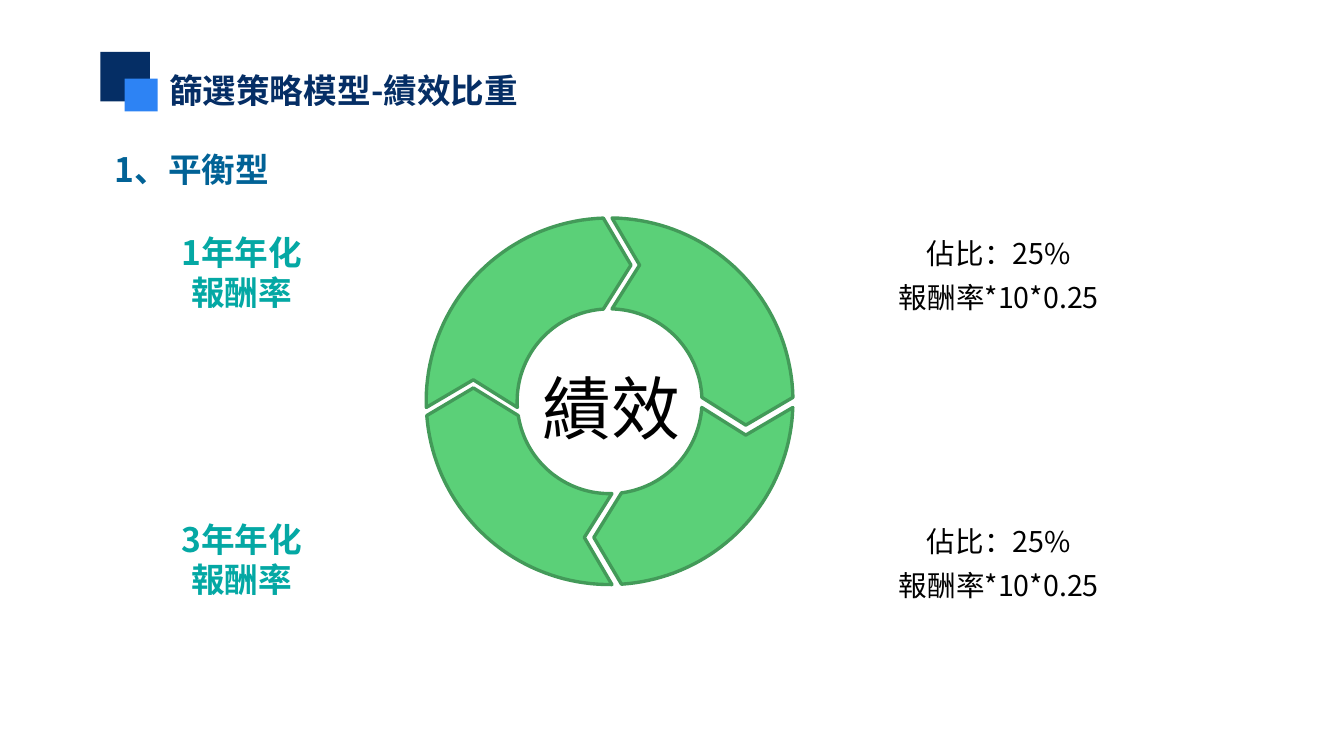
from math import asin, cos, pi, sin

from lxml import etree
from pptx import Presentation
from pptx.dml.color import RGBColor
from pptx.enum.shapes import MSO_SHAPE
from pptx.enum.text import MSO_ANCHOR, PP_ALIGN
from pptx.oxml.ns import qn
from pptx.util import Cm, Pt

FONT = "Noto Sans CJK SC"
NAVY = RGBColor(0x05, 0x2E, 0x65)
BLUE = RGBColor(0x2D, 0x83, 0xF4)
OCEAN = RGBColor(0x01, 0x62, 0x96)
TEAL = RGBColor(0x04, 0xA8, 0xA4)
GREEN = RGBColor(0x5B, 0xD0, 0x78)
DARK_GREEN = RGBColor(0x43, 0x9A, 0x59)
BLACK = RGBColor(0, 0, 0)
LEFT, CENTER = PP_ALIGN.LEFT, PP_ALIGN.CENTER
TOP, MIDDLE = MSO_ANCHOR.TOP, MSO_ANCHOR.MIDDLE
RECTANGLE = MSO_SHAPE.RECTANGLE

# Content
TITLE = "篩選策略模型-績效比重"
MODEL = "1、平衡型"
HUB = "績效"
# metric lines, weight lines, top of metric, top of weight (cm)
METRICS = [
    (["1年年化", "報酬率"], ["佔比：25%", "報酬率*10*0.25"], 4.75, 4.47),
    (["3年年化", "報酬率"], ["佔比：25%", "報酬率*10*0.25"], 10.77, 10.52),
]
# left, top, side (cm), colour
TITLE_SQUARES = [(2.11, 1.09, 1.04, NAVY), (2.62, 1.65, 0.69, BLUE)]

# Ring geometry (cm): four arrows, clockwise from the top
CENTER_X, CENTER_Y = 12.8, 8.43
OUTER, TIP, INNER = 3.85, 2.86, 1.94
TIP_DEPTH = 0.58
# sideways shift of each arrow's tail and head from its quarter line
ARROW_SHIFTS = [(0.05, -0.08), (0.13, -0.25), (-0.05, -0.30), (-0.13, -0.13)]
ARC_STEPS = 40

prs = Presentation()
prs.slide_width, prs.slide_height = Cm(28.22), Cm(15.88)
slide = prs.slides.add_slide(prs.slide_layouts[6])


def add_text(box, lines, size, color, bold=False, align=LEFT, anchor=TOP, spacing=None):
    frame = slide.shapes.add_textbox(*map(Cm, box)).text_frame
    frame.word_wrap = True
    frame.vertical_anchor = anchor
    frame.text = "\n".join(lines)
    for paragraph in frame.paragraphs:
        paragraph.alignment = align
        paragraph.line_spacing = spacing
        font = paragraph.font
        font.size, font.bold, font.name = Pt(size), bold, FONT
        font.color.rgb = color
        # East Asian typeface
        defaults = paragraph._p.pPr.find(qn("a:defRPr"))
        etree.SubElement(defaults, qn("a:ea")).set("typeface", FONT)
    return frame


def ring_point(radius, angle):
    """Point at an angle measured clockwise from the top."""
    return (Cm(CENTER_X + radius * sin(angle)), Cm(CENTER_Y - radius * cos(angle)))


def arc(radius, start, end):
    return [ring_point(radius, start + (end - start) * i / ARC_STEPS)
            for i in range(ARC_STEPS + 1)]


def tip_point(quarter, shift):
    """Chevron tip, moved sideways from the quarter line."""
    side = shift + TIP_DEPTH
    return (Cm(CENTER_X + TIP * sin(quarter) + side * cos(quarter)),
            Cm(CENTER_Y - TIP * cos(quarter) + side * sin(quarter)))


def add_arrow(index, tail, head):
    start, end = index * pi / 2, (index + 1) * pi / 2

    def edge(radius):
        return start + asin(tail / radius), end + asin(head / radius)

    outer_start, outer_end = edge(OUTER)
    inner_start, inner_end = edge(INNER)
    points = (arc(OUTER, outer_start, outer_end) + [tip_point(end, head)]
              + arc(INNER, inner_end, inner_start) + [tip_point(start, tail)])
    builder = slide.shapes.build_freeform(*points[0])
    builder.add_line_segments(points[1:], close=True)
    arrow = builder.convert_to_shape()
    arrow.shadow.inherit = False
    arrow.fill.solid()
    arrow.fill.fore_color.rgb = GREEN
    arrow.line.color.rgb = DARK_GREEN
    arrow.line.width = Pt(2)


# Title with its two squares
add_text((3.3, 1.35, 8.13, 1.12), [TITLE], 20, NAVY, bold=True)
for left, top, side, color in TITLE_SQUARES:
    square = slide.shapes.add_shape(RECTANGLE, Cm(left), Cm(top), Cm(side), Cm(side))
    square.shadow.inherit = False
    square.fill.solid()
    square.fill.fore_color.rgb = color
    square.line.fill.background()
add_text((2.16, 3, 8, 1.12), [MODEL], 20, OCEAN, bold=True)

# Ring of arrows around the hub
for index, (tail, head) in enumerate(ARROW_SHIFTS):
    add_arrow(index, tail, head)
hub = add_text((11.02, 7.59, 3.66, 1.96), [HUB], 41, BLACK, align=CENTER)
hub.margin_left = hub.margin_right = Cm(0.2)
hub.margin_top = hub.margin_bottom = Cm(0.1)

# Metrics on the left, weights on the right
for metric, weight, metric_top, weight_top in METRICS:
    add_text((17.15, weight_top, 7.65, 2.41), weight, 17, BLACK,
             align=CENTER, anchor=MIDDLE, spacing=1.3)
    add_text((3.4, metric_top, 3.35, 1.96), metric, 20, TEAL, bold=True, align=CENTER)

prs.save("out.pptx")
